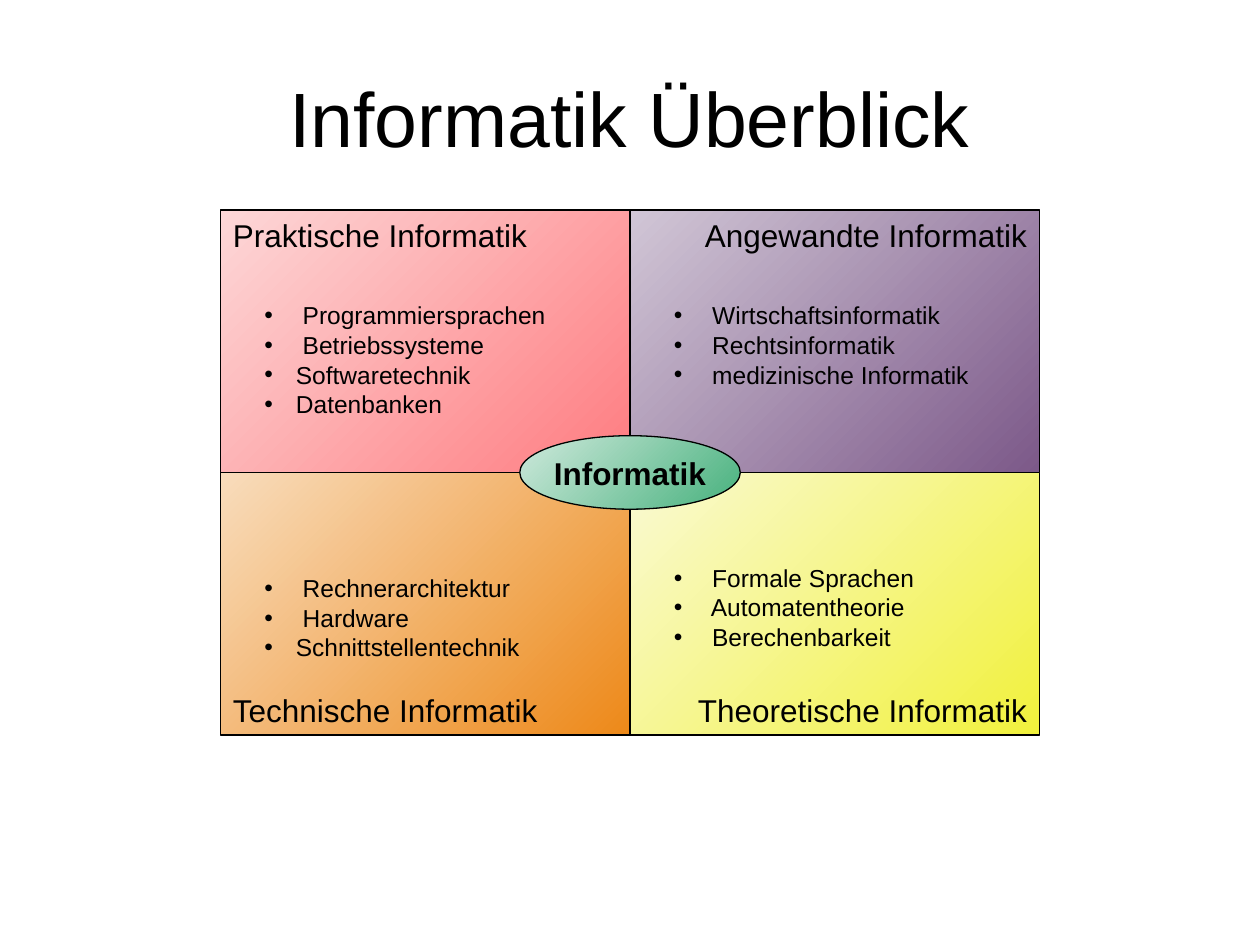
"""Build a slide that shows the four fields of computer science around a centre."""
from lxml import etree
from pptx import Presentation
from pptx.dml.color import RGBColor
from pptx.enum import shapes, text
from pptx.oxml import ns
from pptx.util import Pt

COLORS = {
    "black": "000000",
    "red": ("FE7C80", "FDD7D8"),
    "purple": ("7C5989", "D1C6D6"),
    "orange": ("ED8919", "F8DCBC"),
    "yellow": ("F1F13C", "FAFAD3"),
    "green": ("47B17D", "CEE9DC"),
}
LEFT, TOP, WIDTH, HEIGHT = 126, 120, 234, 150
A, P = text.MSO_ANCHOR, text.PP_ALIGN


def write(s, content, size=18, bold=False, align=P.LEFT, anchor=A.TOP, wrap=True, bullets=False):
    """Write each line of content as a paragraph of the shape."""
    tf = s.text_frame
    tf.word_wrap = wrap
    tf.vertical_anchor = anchor
    if bullets:
        tf.margin_right = 0
    for i, line in enumerate(content.split("\n")):
        p = tf.paragraphs[0] if i == 0 else tf.add_paragraph()
        p.alignment = align
        r = p.add_run()
        r.text = line
        r.font.name, r.font.size, r.font.bold = "Arial", Pt(size), bold
        r.font.color.rgb = RGBColor.from_string(COLORS["black"])
        if bullets:
            p.line_spacing = Pt(16.9)
            pPr = p._p.get_or_add_pPr()
            pPr.set("marL", str(Pt(36)))
            pPr.set("indent", str(Pt(-18)))
            etree.SubElement(pPr, ns.qn("a:buFont")).set("typeface", "Arial")
            etree.SubElement(pPr, ns.qn("a:buChar")).set("char", "•")


def add_gradient_shape(kind, x, y, w, h, color):
    """Add an outlined shape that darkens towards its lower right corner."""
    s = sl.shapes.add_shape(kind, Pt(x), Pt(y), Pt(w), Pt(h))
    s.shadow.inherit = False
    s.fill.gradient()
    s.fill.gradient_angle = 135
    for stop, value in zip(s.fill.gradient_stops, COLORS[color]):
        stop.color.rgb = RGBColor.from_string(value)
    s.line.color.rgb = RGBColor.from_string(COLORS["black"])
    s.line.width = Pt(0.75)
    return s


prs = Presentation()
prs.slide_width, prs.slide_height = Pt(720), Pt(540)
sl = prs.slides.add_slide(prs.slide_layouts[6])

title = sl.shapes.add_textbox(Pt(36), Pt(21.6), Pt(648), Pt(90))
write(title, "Informatik Überblick", size=44, align=P.CENTER, anchor=A.MIDDLE)

fields = [
    ("Praktische Informatik", "red", 168, 198,
     " Programmiersprachen\n Betriebssysteme\nSoftwaretechnik\nDatenbanken"),
    ("Angewandte Informatik", "purple", 168, 206,
     " Wirtschaftsinformatik\n Rechtsinformatik\n medizinische Informatik"),
    ("Technische Informatik", "orange", 324, 183,
     " Rechnerarchitektur\n Hardware\nSchnittstellentechnik"),
    ("Theoretische Informatik", "yellow", 318, 174,
     " Formale Sprachen\n Automatentheorie\n Berechenbarkeit"),
]
for i, (name, color, _, _, _) in enumerate(fields):
    row, col = divmod(i, 2)
    s = add_gradient_shape(shapes.MSO_SHAPE.RECTANGLE, LEFT + col * WIDTH,
                           TOP + row * HEIGHT, WIDTH, HEIGHT, color)
    write(s, name, align=(P.LEFT, P.RIGHT)[col], anchor=(A.TOP, A.BOTTOM)[row])

centre = add_gradient_shape(shapes.MSO_SHAPE.OVAL, LEFT + WIDTH - 63,
                            TOP + HEIGHT - 21, 126, 42, "green")
write(centre, "Informatik", bold=True, align=P.CENTER, anchor=A.MIDDLE, wrap=False)

for i, (_, _, y, w, topics) in enumerate(fields):
    h = 7.2 + 17 * len(topics.split("\n"))
    s = sl.shapes.add_textbox(Pt(LEFT + i % 2 * WIDTH), Pt(y), Pt(w), Pt(h))
    write(s, topics, size=14, bullets=True)

prs.save("out.pptx")
